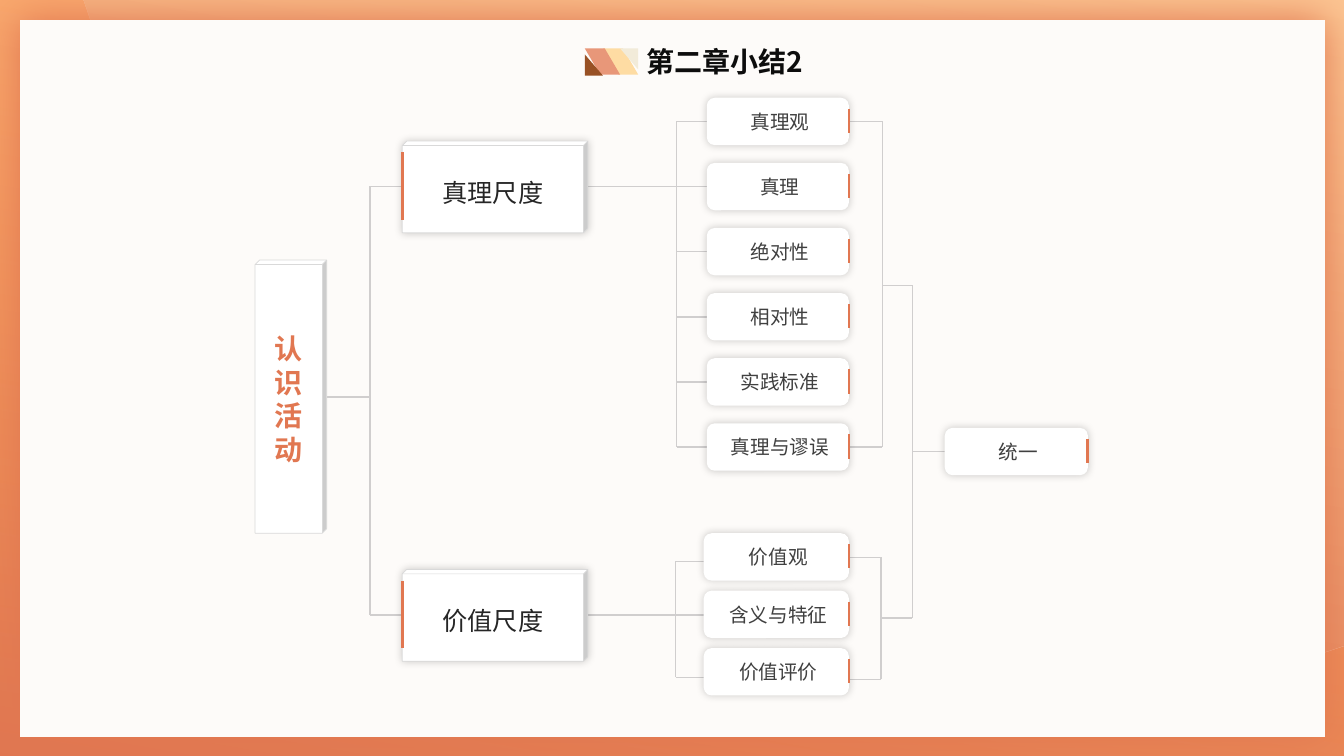
from lxml.etree import SubElement
from pptx import Presentation
from pptx.dml.color import RGBColor
from pptx.enum.shapes import MSO_CONNECTOR, MSO_SHAPE
from pptx.enum.text import MSO_ANCHOR, MSO_AUTO_SIZE, PP_ALIGN
from pptx.oxml import parse_xml
from pptx.oxml.ns import nsdecls, qn
from pptx.util import Inches, Pt

FONT = "Noto Sans CJK SC"
ACCENT, GREY, WHITE, EDGE = "E17751", "D0CECE", "FFFFFF", "D9D9D9"
TITLE = "第二章小结2"
ROOT = "认识活动"
RESULT = "统一"
SCALES = [("真理尺度", 1.4), ("价值尺度", 5.65)]
TRUTH_CARDS = ["真理观", "真理", "绝对性", "相对性", "实践标准", "真理与谬误"]
VALUE_CARDS = ["价值观", "含义与特征", "价值评价"]
TITLE_FORMAT = {"size": Pt(20), "bold": True}
CARD_FORMAT = {"size": Pt(14), "bold": False}
SCALE_FORMAT = {"size": Pt(18), "bold": False}

CARD_HEIGHT, CARD_RIGHT = 0.47, 8.42
TRUTH_LEFT, TRUTH_TOP, TRUTH_STEP = 7.01, 0.97, 0.646
VALUE_LEFT, VALUE_TOP, VALUE_STEP = 6.98, 5.29, 0.57
TRUTH_Y, VALUE_Y, RESULT_Y = 1.85, 6.1, 4.48

# Title ornament: shape, left, top, width, height, fill, flips
ORNAMENT = [
    (MSO_SHAPE.PARALLELOGRAM, 5.98, 0.48, 0.35, 0.26, "FEDCA3", ["flipH"]),
    (MSO_SHAPE.RIGHT_TRIANGLE, 6.15, 0.48, 0.18, 0.21, "F2EBD9", ["flipH", "flipV"]),
    (MSO_SHAPE.PARALLELOGRAM, 5.8, 0.48, 0.35, 0.26, "E89779", ["flipH"]),
    (MSO_SHAPE.RIGHT_TRIANGLE, 5.8, 0.54, 0.18, 0.21, "985125", []),
]

# Background sweep: straight corners, then two Bezier curves back to the start
SWEEP_CORNERS = [(0.83, 0), (13.33, 0), (13.33, 6.4), (13.15, 6.46)]
SWEEP_CURVES = [
    [(13.15, 6.46), (12.22, 6.75), (11.24, 6.9), (10.22, 6.9)],
    [(10.22, 6.9), (5.97, 6.9), (2.36, 4.21), (0.98, 0.44)],
]

presentation = Presentation()
presentation.slide_width, presentation.slide_height = Inches(13.33), Inches(7.5)
slide = presentation.slides.add_slide(presentation.slide_layouts[5])
shapes = slide.shapes


def color(value):
    return RGBColor.from_string(value)


def add_block(kind, left, top, width, height, fill, edge=None):
    shape = shapes.add_shape(kind, Inches(left), Inches(top), Inches(width), Inches(height))
    shape.shadow.inherit = False
    shape.fill.solid()
    shape.fill.fore_color.rgb = color(fill)
    if edge:
        shape.line.color.rgb = color(edge)
        shape.line.width = Pt(0.5)
    else:
        shape.line.fill.background()
    return shape


def set_gradient(shape, end):
    """Upward fade from the accent colour to a half transparent end colour."""
    properties = shape._element.spPr
    properties.replace(properties.find(qn("a:solidFill")), parse_xml(
        f'<a:gradFill {nsdecls("a")} rotWithShape="1"><a:gsLst>'
        f'<a:gs pos="0"><a:srgbClr val="{ACCENT}"/></a:gs>'
        f'<a:gs pos="100000"><a:srgbClr val="{end}"><a:alpha val="50000"/></a:srgbClr></a:gs>'
        '</a:gsLst><a:lin ang="16800000" scaled="0"/></a:gradFill>'))


def set_shadow(shape, shade, opacity, blur, direction):
    effects = shape._element.spPr.find(qn("a:effectLst"))
    shadow = SubElement(effects, qn("a:outerShdw"), blurRad=str(Pt(blur)), dist="0",
                        dir=str(direction * 60000), algn="ctr", rotWithShape="0")
    tone = SubElement(shadow, qn("a:srgbClr"), val=shade)
    SubElement(tone, qn("a:alpha"), val=str(opacity * 1000))


def write(shape, text, shade, font_format, align=PP_ALIGN.CENTER,
          anchor=MSO_ANCHOR.MIDDLE, spacing=1.0):
    frame = shape.text_frame
    frame.word_wrap = True
    frame.vertical_anchor = anchor
    paragraph = frame.paragraphs[0]
    paragraph.alignment = align
    paragraph.line_spacing = spacing
    run = paragraph.add_run()
    run.text = text
    run.font.name = FONT
    run.font.color.rgb = color(shade)
    for name, value in font_format.items():
        setattr(run.font, name, value)
    SubElement(run.font._element, qn("a:ea"), typeface=FONT)


def add_line(x1, y1, x2, y2, shade=GREY, width=1):
    line = shapes.add_connector(MSO_CONNECTOR.STRAIGHT, Inches(x1), Inches(y1),
                                Inches(x2), Inches(y2))
    line.line.color.rgb = color(shade)
    line.line.width = Pt(width)
    SubElement(line._element.spPr, qn("a:effectLst"))


def add_bracket(spine, ends, stem, stem_y):
    """Vertical spine with a branch to each (x, y) end and a stem on its other side."""
    heights = [y for _, y in ends]
    add_line(spine, min(heights), spine, max(heights))
    for x, y in ends:
        add_line(spine, y, x, y)
    add_line(spine, stem_y, stem, stem_y)


def add_card(text, left, top, right):
    card = add_block(MSO_SHAPE.ROUNDED_RECTANGLE, left, top, right - left, CARD_HEIGHT, WHITE)
    set_shadow(card, "000000", 20, 6, 315)
    card.text_frame.margin_left = Inches(0.14)
    write(card, text, "404040", CARD_FORMAT)
    add_line(right, top + 0.11, right, top + 0.35, ACCENT, 2)


def add_cube(left, top, width, height, depth):
    cube = add_block(MSO_SHAPE.CUBE, left, top, width, height, WHITE, EDGE)
    cube.adjustments[0] = depth
    return cube


def curve_points(start, first, second, end, steps=24):
    for step in range(1, steps + 1):
        t = step / steps
        weights = ((1 - t) ** 3, 3 * t * (1 - t) ** 2, 3 * t * t * (1 - t), t ** 3)
        yield tuple(sum(w * point[axis] for w, point in zip(weights, (start, first, second, end)))
                    for axis in (0, 1))


# Background and panel
backdrop = add_block(MSO_SHAPE.RECTANGLE, 0, 0, 13.33, 7.5, ACCENT)
set_gradient(backdrop, "FD7201")
outline = SWEEP_CORNERS + [point for curve in SWEEP_CURVES for point in curve_points(*curve)]
points = [(Inches(x), Inches(y)) for x, y in outline]
builder = shapes.build_freeform(*points[0])
builder.add_line_segments(points[1:], close=True)
sweep = builder.convert_to_shape()
sweep.shadow.inherit = False
sweep.fill.solid()
sweep.line.fill.background()
set_gradient(sweep, "FDD5A6")
panel = add_block(MSO_SHAPE.RECTANGLE, 0.2, 0.2, 12.94, 7.11, "FDFBF9")
set_shadow(panel, ACCENT, 100, 30, 0)

# Title
title = shapes.title
title.left, title.top, title.width, title.height = map(Inches, (6.31, 0.39, 2.45, 0.77))
write(title, TITLE, "0D0D0D", TITLE_FORMAT, PP_ALIGN.LEFT, MSO_ANCHOR.TOP)
title.text_frame.auto_size = MSO_AUTO_SIZE.NONE
shapes._spTree.append(title._element)
for kind, left, top, width, height, fill, flips in ORNAMENT:
    piece = add_block(kind, left, top, width, height, fill)
    if kind == MSO_SHAPE.PARALLELOGRAM:
        piece.adjustments[0] = 0.585
    for flip in flips:
        piece._element.spPr.xfrm.set(flip, "1")

# Brackets
truth_tops = [TRUTH_TOP + TRUTH_STEP * i for i in range(len(TRUTH_CARDS))]
value_tops = [VALUE_TOP + VALUE_STEP * i for i in range(len(VALUE_CARDS))]
truth_rows = [top + CARD_HEIGHT / 2 for top in truth_tops]
value_rows = [5.57, VALUE_Y, 6.72]
add_bracket(3.67, [(3.99, TRUTH_Y), (3.99, VALUE_Y)], 3.24, 3.94)
add_bracket(6.71, [(7.02, y) for y in truth_rows], 5.83, TRUTH_Y)
add_bracket(6.7, [(7.02, y) for y in value_rows], 5.79, VALUE_Y)
add_bracket(8.75, [(CARD_RIGHT, truth_rows[0]), (CARD_RIGHT, truth_rows[-1])], 9.05, 2.83)
add_bracket(8.74, [(CARD_RIGHT, 5.53), (CARD_RIGHT, 6.74)], 9.05, 6.13)
add_line(9.05, 2.83, 9.05, 6.13)
add_line(9.05, RESULT_Y, 9.49, RESULT_Y)

# Boxes
root = add_cube(2.53, 2.58, 0.71, 2.71, 0.063)
write(root, ROOT, ACCENT, TITLE_FORMAT)
for text, top in SCALES:
    scale = add_cube(3.99, top, 1.84, 0.91, 0.048)
    set_shadow(scale, "000000", 20, 6, 315)
    write(scale, text, "262626", SCALE_FORMAT, spacing=1.2)
    add_line(3.99, top + 0.11, 3.99, top + 0.78, ACCENT, 2)
for text, top in zip(TRUTH_CARDS, truth_tops):
    add_card(text, TRUTH_LEFT, top, CARD_RIGHT)
for text, top in zip(VALUE_CARDS, value_tops):
    add_card(text, VALUE_LEFT, top, CARD_RIGHT)
add_card(RESULT, 9.37, RESULT_Y - CARD_HEIGHT / 2, 10.79)

presentation.save("out.pptx")
